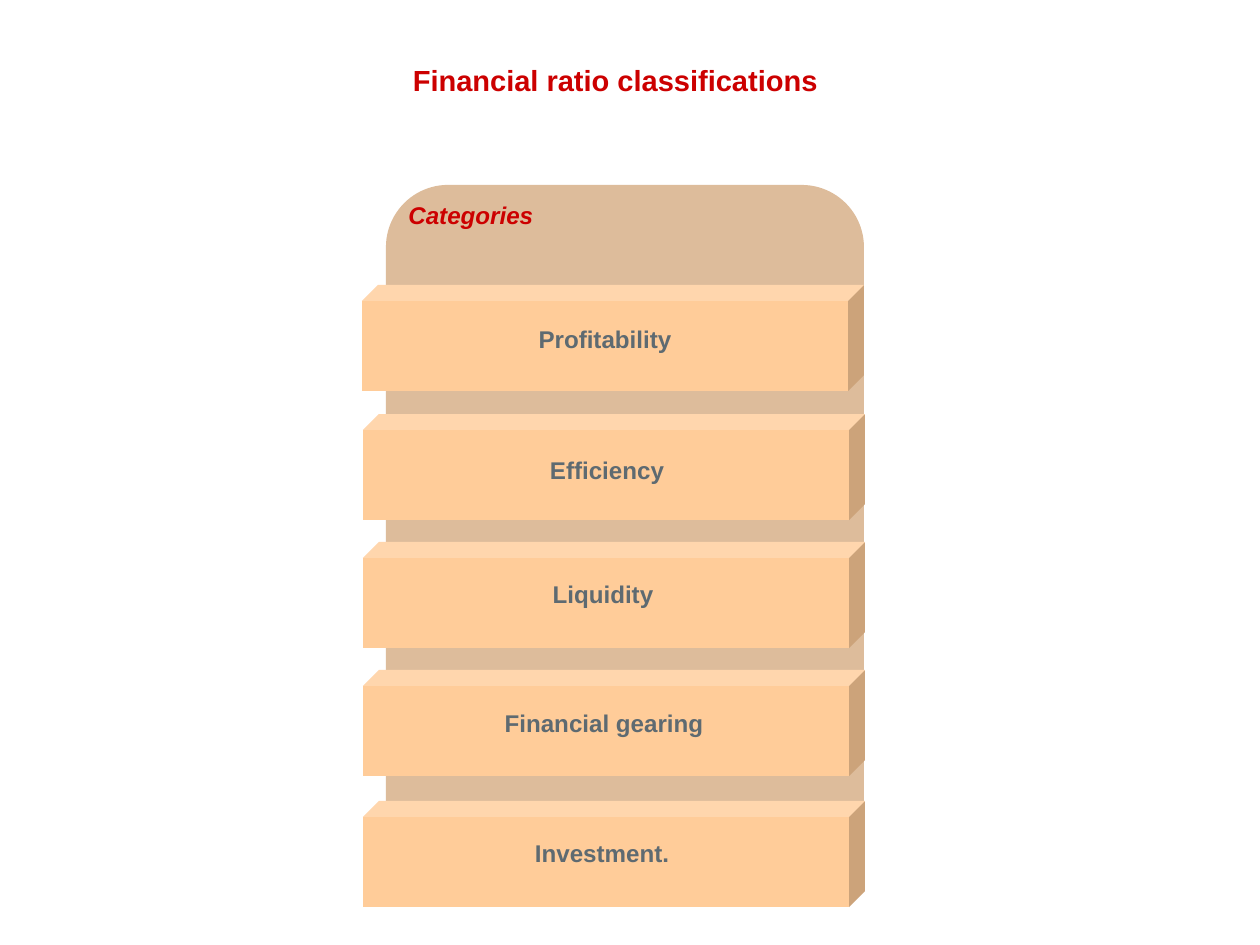
from dataclasses import dataclass

import pptx
import pptx.dml.color
import pptx.enum.shapes
import pptx.enum.text
import pptx.util

PX = 914400 / 126  # EMU in one px
FONT = "Arial"
COLORS = {
    "red": "CC0000",
    "grey": "5E6A71",
    "panel": "DDBC9B",
    "bar": "FFCC99",
}
SHAPES = pptx.enum.shapes.MSO_SHAPE
ALIGN = pptx.enum.text.PP_ALIGN


@dataclass
class Frame:
    left: int
    top: int
    width: int
    height: int

    def emu(self) -> list[int]:
        return [round(side * PX) for side in (self.left, self.top, self.width, self.height)]


@dataclass
class Category:
    name: str
    bar_left: int
    bar_top: int
    label_center: int
    label_top: int


CATEGORIES = [
    Category("Profitability", 362, 285, 605, 318),
    Category("Efficiency", 363, 414, 607, 449),
    Category("Liquidity", 363, 542, 603, 573),
    Category("Financial gearing", 363, 670, 604, 702),
    Category("Investment.", 363, 801, 602, 832),
]
BAR_WIDTH, BAR_HEIGHT = 502, 106
LABEL_WIDTH, LABEL_HEIGHT = 476, 42


def rgb(name: str) -> pptx.dml.color.RGBColor:
    return pptx.dml.color.RGBColor.from_string(COLORS[name])


def draw_shape(slide, kind, frame: Frame, color: str, adjustment: float) -> None:
    shape = slide.shapes.add_shape(kind, *frame.emu())
    shape.shadow.inherit = False
    shape.adjustments[0] = adjustment
    shape.fill.solid()
    shape.fill.fore_color.rgb = rgb(color)
    shape.line.fill.background()


def draw_text(slide, text: str, frame: Frame, color: str, size: float = 13.8,
              align=ALIGN.CENTER, italic: bool = False) -> None:
    box = slide.shapes.add_textbox(*frame.emu())
    box.text_frame.word_wrap = True
    para = box.text_frame.paragraphs[0]
    para.alignment = align
    span = para.add_run()
    span.text = text
    span.font.name = FONT
    span.font.size = pptx.util.Pt(size)
    span.font.bold = True
    span.font.italic = italic
    span.font.color.rgb = rgb(color)


def draw_category(slide, category: Category) -> None:
    bar = Frame(category.bar_left, category.bar_top, BAR_WIDTH, BAR_HEIGHT)
    draw_shape(slide, SHAPES.CUBE, bar, "bar", 0.15)
    label = Frame(category.label_center - LABEL_WIDTH // 2, category.label_top,
                  LABEL_WIDTH, LABEL_HEIGHT)
    draw_text(slide, category.name, label, "grey")


def main() -> None:
    deck = pptx.Presentation()
    deck.slide_width = round(1260 * PX)
    deck.slide_height = round(945 * PX)
    slide = deck.slides.add_slide(deck.slide_layouts[6])

    # Title
    draw_text(slide, "Financial ratio classifications", Frame(361, 56, 508, 48), "red", 16.6)

    # Panel behind the bars, with its heading
    draw_shape(slide, SHAPES.ROUNDED_RECTANGLE, Frame(386, 185, 478, 682), "panel", 0.13)
    draw_text(slide, "Categories", Frame(396, 194, 442, 42), "red",
              align=ALIGN.LEFT, italic=True)

    # One labelled bar for each category
    for category in CATEGORIES:
        draw_category(slide, category)

    deck.save("out.pptx")


if __name__ == "__main__":
    main()
